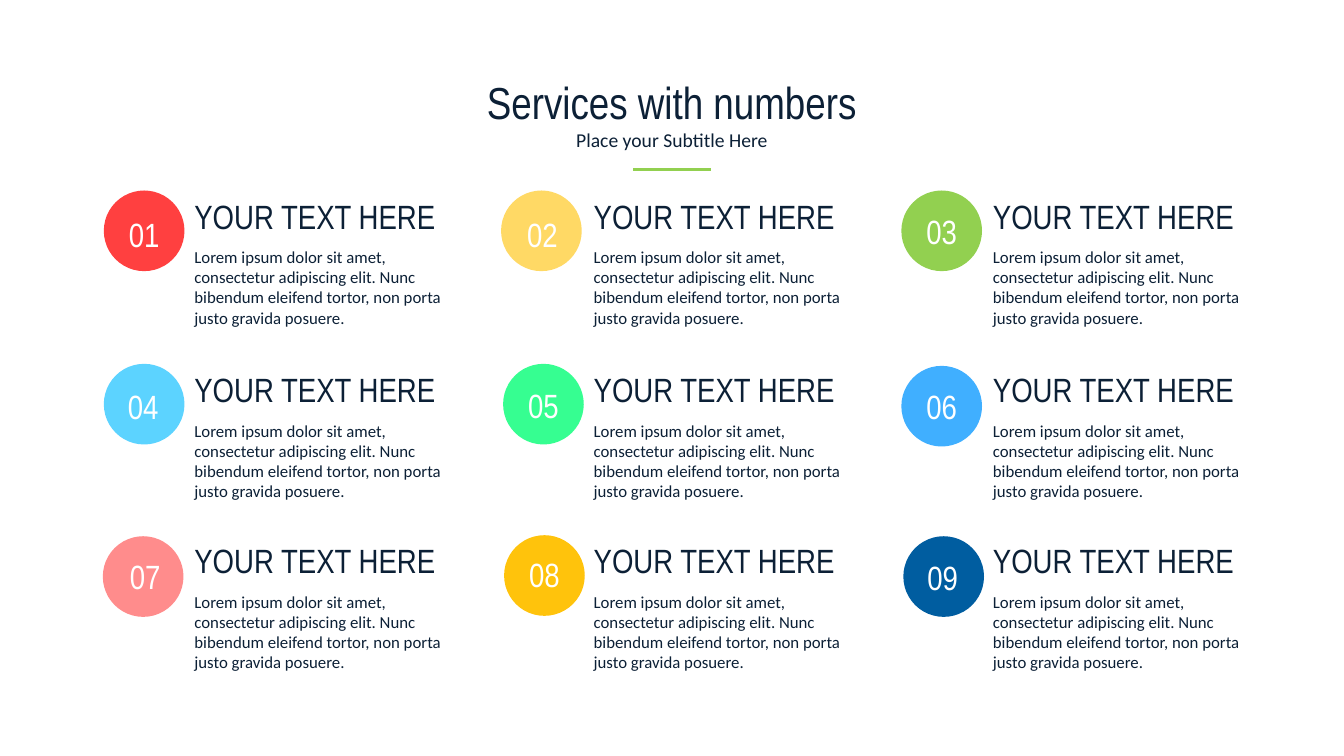
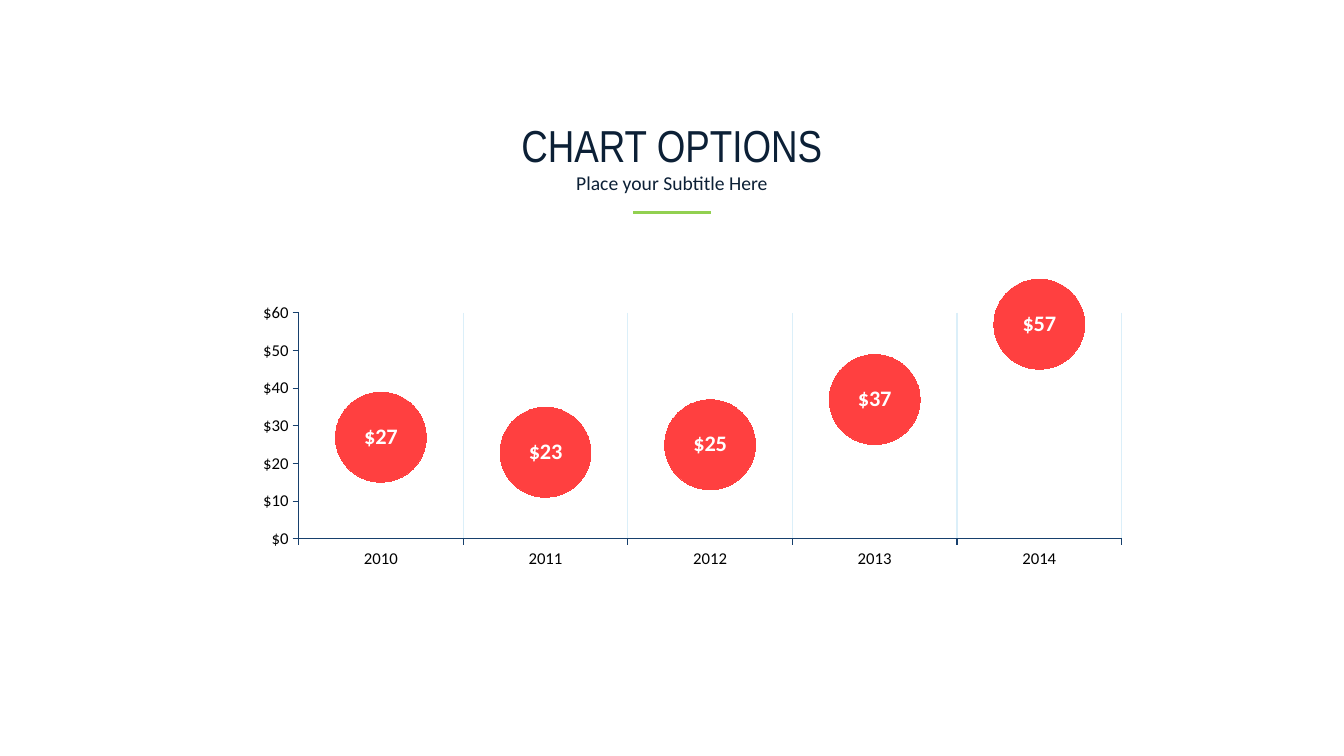
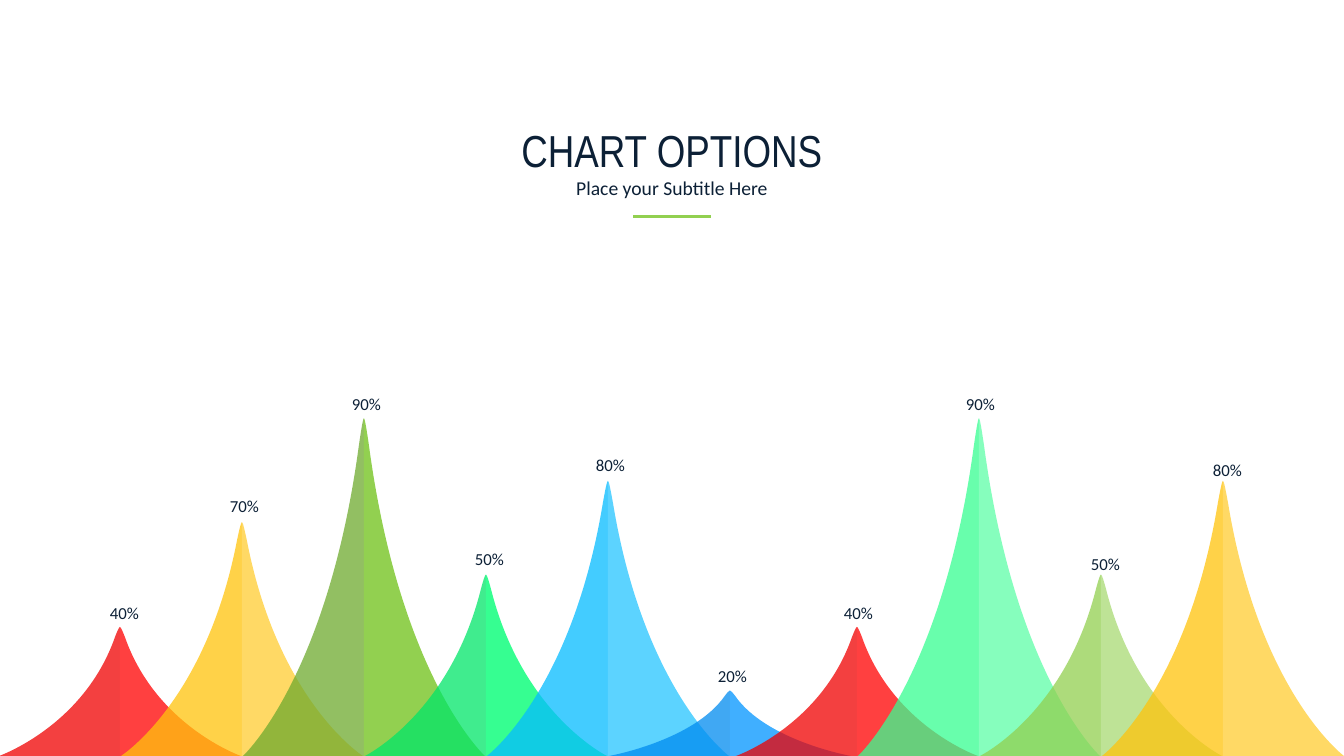
from lxml import etree
from pptx import Presentation
from pptx import util as u
from pptx.chart.data import CategoryChartData
from pptx.dml.color import RGBColor
from pptx.enum import chart as ch, shapes, text
from pptx.oxml.ns import qn

COLORS = {
    "ink": "0C2036", "white": "FFFFFF", "black": "000000",
    "red": "FF4040", "deep_red": "EF0000", "pink": "FF8C8C",
    "amber": "FFC30C", "yellow": "FFD965",
    "green": "92D050", "deep_green": "6EAA2E", "pale_green": "BEE396",
    "mint": "36FE91", "deep_mint": "01E669", "pale_mint": "86FEBD",
    "sky": "5CD3FF", "deep_sky": "05BCFF",
    "blue": "40AFFF", "deep_blue": "008BEF", "navy": "005DA0",
    "axis": "17406D", "grid": "DBEFF9",
}
STYLES = {
    "title": {"name": "Arial Narrow", "size": u.Pt(32)},
    "subtitle": {"name": "Calibri", "size": u.Pt(14)},
    "heading": {"name": "Arial Narrow", "size": u.Pt(24)},
    "body": {"name": "Calibri", "size": u.Pt(12)},
    "data_label": {"name": "Calibri", "size": u.Pt(16), "bold": True},
}
WIDTH, HEIGHT = 13.33, 7.5
LOREM = ("Lorem ipsum dolor sit amet, consectetur adipiscing elit. "
         "Nunc bibendum eleifend tortor, non porta justo gravida posuere.")
COLUMNS = [1.83, 5.79, 9.75]
ROWS = [1.89, 3.61, 5.31]
SERVICES = [
    ("red", (-0.8, 0), (-0.72, 0.18)),
    ("yellow", (-0.82, 0), (-0.73, 0.18)),
    ("green", (-0.81, 0), (-0.73, 0.15)),
    ("sky", (-0.8, 0), (-0.73, 0.17)),
    ("mint", (-0.8, 0), (-0.72, 0.16)),
    ("blue", (-0.81, 0.02), (-0.73, 0.17)),
    ("pink", (-0.81, 0.01), (-0.71, 0.16)),
    ("amber", (-0.79, 0), (-0.71, 0.14)),
    ("navy", (-0.79, 0.01), (-0.72, 0.17)),
]
PEAK_HEIGHTS = {20: 0.65, 40: 1.28, 50: 1.8, 70: 2.32, 80: 2.73, 90: 3.35}
PEAK_STEP = 1.21
PEAK_GROUPS = [
    (1.19, [
        (40, "deep_red", "red", 0.04, 0.29),
        (70, "amber", "yellow", 0.02, 0.31),
        (90, "deep_green", "green", 0.02, 0.29),
        (50, "deep_mint", "mint", 0.03, 0.31),
        (80, "deep_sky", "sky", 0.02, 0.31),
        (20, "deep_blue", "blue", 0.02, 0.29),
    ]),
    (8.5, [
        (40, "deep_red", "red", 0.01, 0.29),
        (90, "mint", "pale_mint", 0.01, 0.29),
        (50, "green", "pale_green", 0.04, 0.26),
        (80, "amber", "yellow", 0.04, 0.26),
    ]),
]
SHOULDER, FOOT, BASE, APEX = (0.05, 0.08), (1.2, 1), (0, 1), (0, 0)
FLANK_CONTROLS = [(0.36, 0.77), FOOT]
TIP_CONTROLS = [(0.01, 0), (0.03, 0.04)]


def rgb(color):
    return RGBColor.from_string(COLORS[color])


def set_font(font, style, color):
    for name, value in STYLES[style].items():
        setattr(font, name, value)
    font.color.rgb = rgb(color)


def add_text(s, box, words, style, color="ink", align=text.PP_ALIGN.LEFT):
    tf = s.shapes.add_textbox(*map(u.Inches, box)).text_frame
    tf.word_wrap = True
    tf.auto_size = text.MSO_AUTO_SIZE.SHAPE_TO_FIT_TEXT
    p = tf.paragraphs[0]
    p.alignment = align
    r = p.add_run()
    r.text = words
    set_font(r.font, style, color)


def fill_shape(sp, color, alpha=None):
    sp.shadow.inherit = False
    sp.fill.solid()
    sp.fill.fore_color.rgb = rgb(color)
    sp.line.fill.background()
    if alpha:
        clr = sp._element.spPr.find(qn("a:solidFill")).find(qn("a:srgbClr"))
        etree.SubElement(clr, qn("a:alpha"), val=str(alpha * 1000))


def add_header(s, top, title, rule_drop=0.99):
    center = text.PP_ALIGN.CENTER
    add_text(s, (0, top, WIDTH, 0.64), title, "title", align=center)
    add_text(s, (0.68, top + 0.53, 11.97, 0.34), "Place your Subtitle Here",
             "subtitle", align=center)
    y = u.Inches(top + rule_drop)
    rule = s.shapes.add_connector(shapes.MSO_CONNECTOR.STRAIGHT,
                                  u.Inches(6.28), y, u.Inches(7.05), y)
    rule.line.color.rgb = rgb("green")
    rule.line.width = u.Pt(2)
    etree.SubElement(rule._element.spPr, qn("a:effectLst"))


def add_service(s, x, y, number, color, badge, label):
    sp = s.shapes.add_shape(
        shapes.MSO_SHAPE.OVAL,
        *map(u.Inches, (x + badge[0], y + badge[1], 0.8, 0.8)))
    fill_shape(sp, color)
    add_text(s, (x, y + 0.51, 2.9, 0.91), LOREM, "body")
    add_text(s, (x, y, 2.9, 0.5), "YOUR TEXT HERE", "heading")
    add_text(s, (x + label[0], y + label[1], 0.64, 0.5), f"{number:02d}",
             "heading", "white", text.PP_ALIGN.CENTER)


def set_plot_area(chart, **box):
    plot_area = chart._chartSpace.chart.plotArea
    for old in plot_area.findall(qn("c:layout")):
        plot_area.remove(old)
    layout = etree.Element(qn("c:layout"))
    plot_area.insert(0, layout)
    manual = etree.SubElement(layout, qn("c:manualLayout"))
    values = {"layoutTarget": "inner", "xMode": "edge", "yMode": "edge", **box}
    for name, value in values.items():
        etree.SubElement(manual, qn(f"c:{name}"), val=str(value))


def add_price_chart(s, box):
    data = CategoryChartData()
    data.categories = ["2010", "2011", "2012", "2013", "2014"]
    data.add_series("Series 1", [27, 23, 25, 37, 57])
    chart = s.shapes.add_chart(ch.XL_CHART_TYPE.LINE_MARKERS,
                               *map(u.Inches, box), data).chart
    chart.has_title = chart.has_legend = False
    set_font(chart.font, "body", "black")
    set_plot_area(chart, x=0.04, y=0.11, w=0.96, h=0.79)

    for axis in (chart.category_axis, chart.value_axis):
        axis.major_tick_mark = ch.XL_TICK_MARK.OUTSIDE
        axis.minor_tick_mark = ch.XL_TICK_MARK.NONE
        axis.format.line.color.rgb = rgb("axis")
        axis.format.line.width = u.Pt(0.75)
        set_font(axis.tick_labels.font, "body", "black")
    chart.category_axis.has_major_gridlines = True
    grid = chart.category_axis.major_gridlines.format.line
    grid.color.rgb = rgb("grid")
    grid.width = u.Pt(0.75)
    prices = chart.value_axis
    prices.has_major_gridlines = False
    prices.minimum_scale, prices.maximum_scale, prices.major_unit = 0, 60, 10

    plot = chart.plots[0]
    plot.vary_by_categories = False
    series = plot.series[0]
    series.smooth = False
    series.format.line.fill.background()
    marker = series.marker
    marker.style = ch.XL_MARKER_STYLE.CIRCLE
    marker.size = 65
    marker.format.fill.solid()
    marker.format.fill.fore_color.rgb = rgb("red")
    marker.format.line.fill.background()
    labels = series.data_labels
    labels.show_value = True
    labels.position = ch.XL_LABEL_POSITION.CENTER
    set_font(labels.font, "data_label", "white")
    for target in (prices.tick_labels, labels):
        target.number_format = "[$$-C09]#,##0"
        target.number_format_is_linked = False


def curve_segment(sp, segment, controls):
    segment.tag = qn("a:cubicBezTo")
    for i, (x, y) in enumerate(controls):
        point = etree.Element(qn("a:pt"), x=str(x - sp.left), y=str(y - sp.top))
        segment.insert(i, point)


def add_half_peak(s, x, height, side, color, alpha=None):
    def place(points):
        return [(u.Inches(x + side * dx), u.Inches(HEIGHT - height * (1 - dy)))
                for dx, dy in points]

    start, *corners = place([SHOULDER, FOOT, BASE, APEX, SHOULDER])
    builder = s.shapes.build_freeform(*start)
    builder.add_line_segments(corners, close=True)
    sp = builder.convert_to_shape()
    flank, _, _, tip = list(sp._element.iter(qn("a:lnTo")))
    curve_segment(sp, flank, place(FLANK_CONTROLS))
    curve_segment(sp, tip, place(TIP_CONTROLS))
    fill_shape(sp, color, alpha)


def add_peak(s, x, percent, left, right):
    height = PEAK_HEIGHTS[percent]
    add_half_peak(s, x, height, -1, left, 75)
    add_half_peak(s, x, height, 1, right)


def add_peak_label(s, x, percent, dx, lift):
    top = HEIGHT - PEAK_HEIGHTS[percent] - lift
    add_text(s, (x + dx - 0.31, top, 0.63, 0.3), f"{percent}%", "body",
             align=text.PP_ALIGN.CENTER)


def services_slide(s):
    add_header(s, 0.69, "Services with numbers")
    for i, service in enumerate(SERVICES):
        row, column = divmod(i, len(COLUMNS))
        add_service(s, COLUMNS[column], ROWS[row], i + 1, *service)


def price_slide(s):
    add_price_chart(s, (2.61, 2.77, 8.52, 2.87))
    add_header(s, 1.12, "CHART OPTIONS")


def peaks_slide(s):
    peaks = [(start + i * PEAK_STEP, *peak)
             for start, group in PEAK_GROUPS for i, peak in enumerate(group)]
    for x, percent, left, right, dx, lift in peaks:
        add_peak(s, x, percent, left, right)
    add_header(s, 1.17, "CHART OPTIONS", 0.98)
    for x, percent, left, right, dx, lift in peaks:
        add_peak_label(s, x, percent, dx, lift)


def main():
    prs = Presentation()
    prs.slide_width, prs.slide_height = u.Inches(WIDTH), u.Inches(HEIGHT)
    for build in (services_slide, price_slide, peaks_slide):
        build(prs.slides.add_slide(prs.slide_layouts[6]))
    prs.save("out.pptx")


if __name__ == "__main__":
    main()
